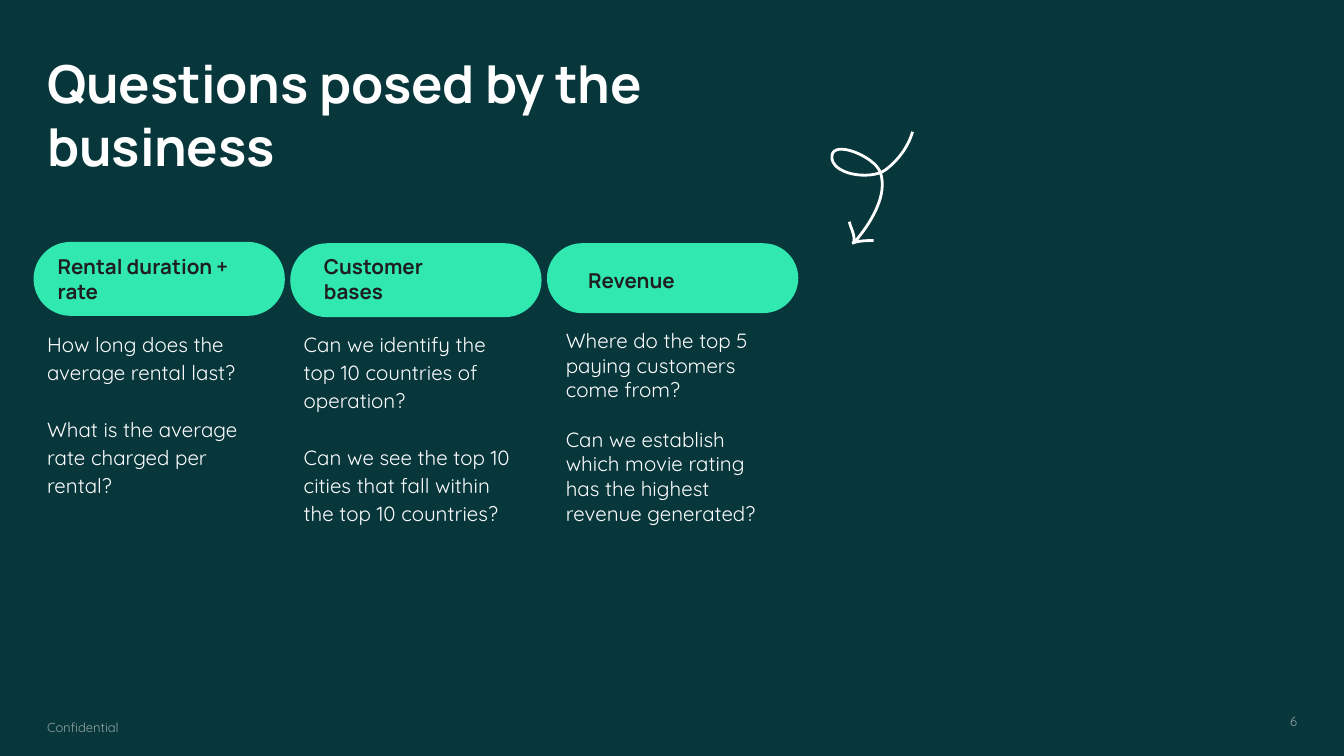
from pptx import Presentation
from pptx.dml.color import RGBColor
from pptx.enum.shapes import MSO_SHAPE as SHAPE
from pptx.enum.text import MSO_ANCHOR as ANCHOR, MSO_AUTO_SIZE as AUTO, PP_ALIGN as ALIGN
from pptx.oxml.ns import qn
from pptx.util import Inches, Pt

BACKGROUND = RGBColor(0x07, 0x36, 0x3B)
MINT = RGBColor(0x30, 0xE8, 0xB0)
INK = RGBColor(0x1F, 0x1F, 0x1F)
WHITE = RGBColor(0xFF, 0xFF, 0xFF)
GREY = RGBColor(0x93, 0xA2, 0xA2)
HEADING_FONT, BODY_FONT = "Manrope", "Quicksand"

COLUMNS = [
    dict(heading="Rental duration + rate", pill=(0.25, 1.8, 1.87, 0.55),
         margins=(0.1, 0, 0.1, 0), left=0.25, spacing=1.15, placeholder=2,
         questions=["How long does the average rental last?",
                    "What is the average rate charged per rental?"]),
    dict(heading="Customer bases", pill=(2.16, 1.81, 1.87, 0.55),
         margins=(0.17, 0, 0.5, 0.02), left=2.16, spacing=1.15, placeholder=3,
         questions=["Can we identify the top 10 countries of operation?",
                    "Can we see the top 10 cities that fall within the top 10 countries?"]),
    dict(heading="Revenue", pill=(4.07, 1.81, 1.87, 0.52),
         margins=(0.23, 0.03, 0.5, 0), left=4.11, spacing=1.0, placeholder=4,
         questions=["Where do the top 5 paying customers come from?",
                    "Can we establish which movie rating has the highest revenue generated?"]),
]

ARROW_STROKES = [
    [(0.6, 0), (0.57, 0.11), (0.49, 0.22), (0.39, 0.29),
     (0.28, 0.36), (-0.01, 0.32), (0, 0.18),
     (0.01, 0.06), (0.31, 0.18), (0.36, 0.3),
     (0.42, 0.47), (0.29, 0.68), (0.17, 0.82)],
    [(0.13, 0.67), (0.14, 0.72), (0.18, 0.78), (0.16, 0.83)],
    [(0.15, 0.83), (0.2, 0.81), (0.26, 0.81), (0.31, 0.81)],
]


def place(sp, box):
    sp.left, sp.top, sp.width, sp.height = map(Inches, box)


def set_text(sp, lines, font, size, color, bold=False, margins=(0.1,) * 4,
             anchor=ANCHOR.TOP, align=ALIGN.LEFT, spacing=1.0, gap=0):
    tf = sp.text_frame
    tf.text = "\n".join(lines)
    tf.word_wrap = True
    tf.auto_size = AUTO.NONE
    tf.vertical_anchor = anchor
    tf.margin_left, tf.margin_top, tf.margin_right, tf.margin_bottom = map(Inches, margins)
    for i, p in enumerate(tf.paragraphs):
        pPr = p._p.get_or_add_pPr()
        pPr.set("marL", "0")
        pPr.set("indent", "0")
        pPr.append(pPr.makeelement(qn("a:buNone"), {}))
        p.alignment = align
        p.line_spacing = spacing
        p.space_before = Pt(gap if i else 0)
        p.space_after = Pt(0)
        for r in p.runs:
            r.font.name, r.font.size, r.font.bold = font, Pt(size), bold
            r.font.color.rgb = color


def add_title(s, box):
    place(s.shapes.title, box)
    set_text(s.shapes.title, ["Questions posed by the business"],
             HEADING_FONT, 28, WHITE, bold=True)


def add_column(s, column, top):
    pill = s.shapes.add_shape(SHAPE.ROUNDED_RECTANGLE, *map(Inches, column["pill"]))
    pill.adjustments[0] = 0.5
    pill.shadow.inherit = False
    pill.fill.solid()
    pill.fill.fore_color.rgb = MINT
    pill.line.fill.background()
    set_text(pill, [column["heading"]], HEADING_FONT, 11, INK, bold=True,
             margins=column["margins"], anchor=ANCHOR.MIDDLE)

    body = s.placeholders[column["placeholder"]]
    place(body, (column["left"], top, 1.88, 1.25))
    set_text(body, column["questions"], BODY_FONT, 11, WHITE,
             margins=(0.1, 0.2, 0.2, 0.1), spacing=column["spacing"],
             gap=13.2 * column["spacing"])


def curve_points(stroke, steps=16):
    points = [stroke[0]]
    for i in range(0, len(stroke) - 1, 3):
        a, b, c, d = stroke[i:i + 4]
        for n in range(1, steps + 1):
            t = n / steps
            u = 1 - t
            points.append(tuple(
                u**3 * a[k] + 3 * u * u * t * b[k] + 3 * u * t * t * c[k] + t**3 * d[k]
                for k in (0, 1)))
    return points


def add_loop_arrow(s, left, top):
    group = s.shapes.add_group_shape()
    for stroke in ARROW_STROKES:
        points = [(Inches(left + x), Inches(top + y)) for x, y in curve_points(stroke)]
        builder = group.shapes.build_freeform(*points[0])
        builder.add_line_segments(points[1:], close=False)
        sp = builder.convert_to_shape()
        sp.shadow.inherit = False
        sp.fill.background()
        sp.line.color.rgb = WHITE
        sp.line.width = Pt(1.5)


def add_footer(s, top):
    note = s.placeholders[1]
    place(note, (0.25, top, 1.22, 0.34))
    set_text(note, ["Confidential"], BODY_FONT, 7, GREY)
    number = s.shapes.add_textbox(*map(Inches, (7.35, top, 2.4, 0.32)))
    set_text(number, ["6"], BODY_FONT, 7, GREY, align=ALIGN.RIGHT,
             margins=(0.1, 0.06, 0.1, 0.1))


def main():
    prs = Presentation()
    prs.slide_width = Inches(10)
    prs.slide_height = prs.slide_width * 9 // 16
    s = prs.slides.add_slide(prs.slide_layouts.get_by_name("Comparison"))
    s.background.fill.solid()
    s.background.fill.fore_color.rgb = BACKGROUND
    add_title(s, (0.25, 0.28, 6.24, 1.14))
    for column in COLUMNS:
        add_column(s, column, 2.24)
    add_loop_arrow(s, 6.19, 0.98)
    add_footer(s, 5.25)
    prs.save("out.pptx")


if __name__ == "__main__":
    main()
